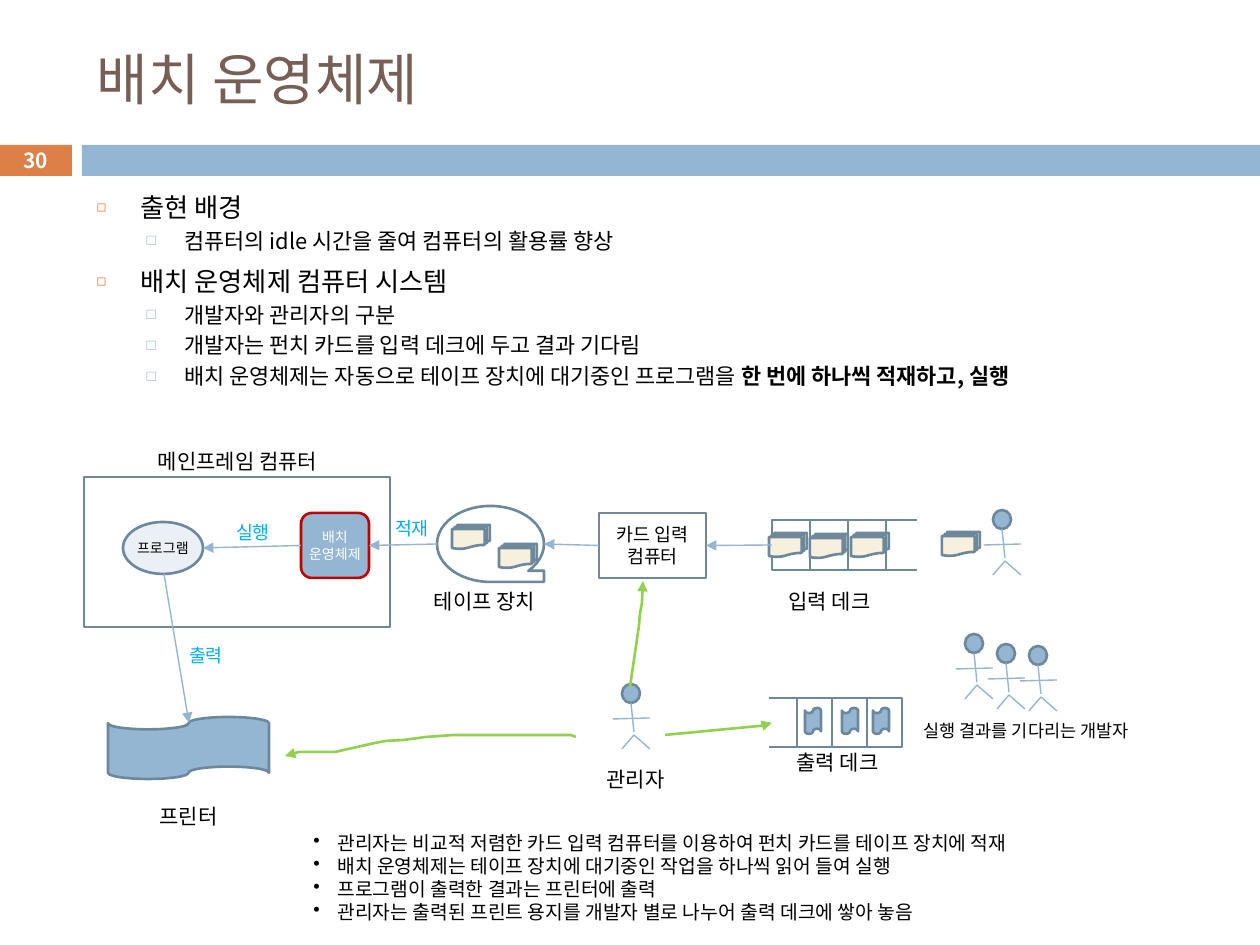
from lxml.etree import SubElement
from pptx import Presentation
from pptx.dml.color import RGBColor
from pptx.enum.shapes import MSO_CONNECTOR, MSO_SHAPE as SHAPE
from pptx.enum.text import MSO_ANCHOR as ANCHOR, MSO_AUTO_SIZE, PP_ALIGN as ALIGN
from pptx.oxml.ns import qn
from pptx.util import Inches, Pt

PX = 7257  # EMU in one px, 126 px to the inch
FONT = "Noto Sans CJK KR"
COLORS = {"blue": "94B6D2", "orange": "DD8047", "brown": "775F55", "outline": "6D879B",
          "pale": "EAF0F6", "card": "F7F0DE", "red": "C00000", "green": "92D050",
          "cyan": "00B0F0", "black": "000000", "white": "FFFFFF"}

prs = Presentation()
prs.slide_width, prs.slide_height = Inches(10), Inches(7.5)
slide = prs.slides.add_slide(prs.slide_layouts[1])
shapes = slide.shapes


def write(paragraph, text, size, color="black", align=ALIGN.CENTER, spacing=1.2,
          bold=False, bullet=None):
    """Fill a paragraph; bullet is (char, color, percent, left px, hanging px)."""
    paragraph.alignment = align
    paragraph.line_spacing = Pt(round(size * spacing, 1))
    if bullet:
        char, bullet_color, percent, left, hanging = bullet
        props = paragraph._p.get_or_add_pPr()
        props.set("marL", str(left * PX))
        props.set("indent", str(-hanging * PX))
        SubElement(SubElement(props, qn("a:buClr")), qn("a:srgbClr"), val=COLORS[bullet_color])
        SubElement(props, qn("a:buSzPct"), val=str(percent * 1000))
        SubElement(props, qn("a:buChar"), char=char)
    paragraph.add_run().text = text
    font = paragraph.font
    font.size, font.bold, font.name = Pt(size), bold, FONT
    font.color.rgb = RGBColor.from_string(COLORS[color])
    SubElement(font._element, qn("a:ea"), typeface=FONT)


def draw(kind, x, y, w, h, fill=None, line="outline"):
    """Add a preset shape; fill or line may be None."""
    shape = shapes.add_shape(kind, x * PX, y * PX, w * PX, h * PX)
    shape.shadow.inherit = False
    if fill:
        shape.fill.solid()
        shape.fill.fore_color.rgb = RGBColor.from_string(COLORS[fill])
    else:
        shape.fill.background()
    if line:
        shape.line.color.rgb = RGBColor.from_string(COLORS[line])
        shape.line.width = Pt(1.5)
    else:
        shape.line.fill.background()
    return shape


# Header bars, title and page number
draw(SHAPE.RECTANGLE, -1, 145, 73, 31, "orange", None)
draw(SHAPE.RECTANGLE, 82, 145, 1178, 31, "blue", None)
title = shapes.title
title.left, title.top, title.width, title.height = 84 * PX, 32 * PX, 1124 * PX, 93 * PX
title.text_frame.vertical_anchor = ANCHOR.MIDDLE
title.text_frame.auto_size = MSO_AUTO_SIZE.NONE
write(title.text_frame.paragraphs[0], "배치 운영체제", 32, "brown", ALIGN.LEFT)

page_number = shapes.add_textbox(-1 * PX, 143 * PX, 73 * PX, 34 * PX).text_frame
page_number.word_wrap = True
page_number.vertical_anchor = ANCHOR.MIDDLE
write(page_number.paragraphs[0], "30", 11.9, "white", bold=True)

# Outline list
body = slide.placeholders[1]
body.left, body.top, body.width, body.height = 84 * PX, 185 * PX, 1124 * PX, 224 * PX
outline = body.text_frame
outline.auto_size = MSO_AUTO_SIZE.NONE
outline.vertical_anchor = ANCHOR.TOP
for i, (level, text) in enumerate([
        (0, "출현 배경"),
        (1, "컴퓨터의 idle 시간을 줄여 컴퓨터의 활용률 향상"),
        (0, "배치 운영체제 컴퓨터 시스템"),
        (1, "개발자와 관리자의 구분"),
        (1, "개발자는 펀치 카드를 입력 데크에 두고 결과 기다림"),
        (1, "배치 운영체제는 자동으로 테이프 장치에 대기중인 프로그램을 ")]):
    item = outline.add_paragraph() if i else outline.paragraphs[0]
    item.level = level
    item.space_before = Pt((7, 5.5)[level] if i else 0)
    if level:
        write(item, text, 12.5, align=ALIGN.LEFT, spacing=0.96, bullet=("□", "blue", 70, 88, 38))
    else:
        write(item, text, 15, align=ALIGN.LEFT, bullet=("◻", "orange", 60, 44, 44))
emphasis = item.add_run()
emphasis.text = "한 번에 하나씩 적재하고, 실행"
emphasis.font.bold = True

# Mainframe, tape unit, card computer and printer
draw(SHAPE.RECTANGLE, 84, 477, 306, 150)
batch_os = draw(SHAPE.ROUNDED_RECTANGLE, 301, 513, 68, 65, "blue", "red")
program = draw(SHAPE.OVAL, 123, 522, 80, 52, "pale")
draw(SHAPE.FLOWCHART_SEQUENTIAL_ACCESS_STORAGE, 437, 506, 107, 76)
card_computer = draw(SHAPE.RECTANGLE, 599, 513, 107, 65)
draw(SHAPE.FLOWCHART_PUNCHED_TAPE, 108, 717, 161, 62, "blue")
for box, lines, size, color, inset in [
        (batch_os, ["배치", "운영체제"], 8, "white", 0),
        (program, ["프로그램"], 8, "black", 0),
        (card_computer, ["카드 입력", "컴퓨터"], 10.5, "black", 6)]:
    frame = box.text_frame
    frame.margin_left = frame.margin_right = frame.margin_top = frame.margin_bottom = inset * PX
    frame.vertical_anchor = ANCHOR.MIDDLE
    for i, text in enumerate(lines):
        write(frame.add_paragraph() if i else frame.paragraphs[0], text, size, color)

# Decks: four cells each, with a white cover that opens one end
input_cells = [draw(SHAPE.RECTANGLE, 772 + 38 * i, 520, 38, 50, "white") for i in range(4)]
draw(SHAPE.RECTANGLE, 917, 514, 21, 68, "white", None)
for i in range(4):
    draw(SHAPE.RECTANGLE, 762 + 35 * i, 698, 35, 49, "white")
draw(SHAPE.RECTANGLE, 750, 692, 19, 68, "white", None)
for x, y in [(769, 533), (810, 534), (851, 533), (942, 532), (452, 525), (499, 544)]:
    draw(SHAPE.FLOWCHART_MULTIDOCUMENT, x, y, 38, 24, "card")
for x in (805, 842, 873):
    draw(SHAPE.FLOWCHART_PUNCHED_TAPE, x, 708, 16, 26, "blue")

# People: the developers and the manager
strokes = []
for x, y in [(993, 510), (965, 634), (997, 644), (1029, 646), (622, 684)]:
    draw(SHAPE.OVAL, x, y, 18, 19, "blue")
    for x1, y1, x2, y2 in [(-9, 35, 28, 34), (9, 19, 12, 48), (12, 51, 0, 65), (12, 51, 28, 65)]:
        strokes.append(shapes.add_connector(
            MSO_CONNECTOR.STRAIGHT, (x + x1) * PX, (y + y1) * PX, (x + x2) * PX, (y + y2) * PX))

# Data flow, with the boxes it is joined to
arrows = []
for x1, y1, x2, y2, source, target in [
        (772, 545, 706, 545, (input_cells[0], 1), (card_computer, 3)),
        (599, 545, 544, 544, (card_computer, 1), None),
        (437, 544, 369, 545, None, (batch_os, 3)),
        (301, 545, 203, 548, (batch_os, 1), None),
        (164, 574, 189, 723, None, None)]:
    flow = shapes.add_connector(MSO_CONNECTOR.STRAIGHT, x1 * PX, y1 * PX, x2 * PX, y2 * PX)
    if source:
        flow.begin_connect(*source)
    if target:
        flow.end_connect(*target)
    arrows.append(flow)
for stroke in strokes + arrows:
    stroke.line.color.rgb = RGBColor.from_string(COLORS["blue"])
    stroke.line.width = Pt(0.79)
    SubElement(stroke._element.spPr, qn("a:effectLst"))

# Routes of the manager
for start, *points in [
        [(630, 687), (639, 626), (640, 614), (642, 603), (643, 581)],
        [(576, 737), (571, 735), (561, 735), (454, 735), (426, 737), (404, 740), (386, 741),
         (375, 743), (353, 748), (335, 752), (299, 752), (285, 756)],
        [(665, 735), (760, 726), (766, 725), (772, 723)]]:
    builder = shapes.build_freeform(*start, scale=PX)
    builder.add_line_segments(points, close=False)
    route = builder.convert_to_shape()
    route.shadow.inherit = False
    route.fill.background()
    route.line.color.rgb = RGBColor.from_string(COLORS["green"])
    route.line.width = Pt(1.5)
    arrows.append(route)
for arrow in arrows:
    SubElement(arrow.line._get_or_add_ln(), qn("a:tailEnd"), type="triangle")

# Labels
for text, x, y, w, size, color in [
        ("메인프레임 컴퓨터", 136, 442, 203, 12, "black"),
        ("테이프 장치", 415, 582, 139, 12, "black"),
        ("입력 데크", 771, 582, 117, 12, "black"),
        ("출력 데크", 779, 743, 117, 12, "black"),
        ("관리자", 591, 760, 89, 12, "black"),
        ("프린터", 144, 797, 89, 12, "black"),
        ("실행 결과를 기다리는 개발자", 898, 714, 256, 10, "black"),
        ("출력", 174, 638, 64, 10.5, "cyan"),
        ("실행", 221, 515, 64, 10.5, "cyan"),
        ("적재", 380, 511, 64, 10.5, "cyan")]:
    label = shapes.add_textbox(x * PX, y * PX, w * PX, 38 * PX).text_frame
    label.word_wrap = False
    write(label.paragraphs[0], text, size, color)

# Notes on the process
process = shapes.add_textbox(301 * PX, 825 * PX, 798 * PX, 106 * PX).text_frame
process.word_wrap = True
for i, text in enumerate([
        "관리자는 비교적 저렴한 카드 입력 컴퓨터를 이용하여 펀치 카드를 테이프 장치에 적재",
        "배치 운영체제는 테이프 장치에 대기중인 작업을 하나씩 읽어 들여 실행",
        "프로그램이 출력한 결과는 프린터에 출력",
        "관리자는 출력된 프린트 용지를 개발자 별로 나누어 출력 데크에 쌓아 놓음"]):
    step = process.add_paragraph() if i else process.paragraphs[0]
    write(step, text, 11, align=ALIGN.LEFT, bullet=("•", "black", 100, 24, 24))

prs.save("out.pptx")
